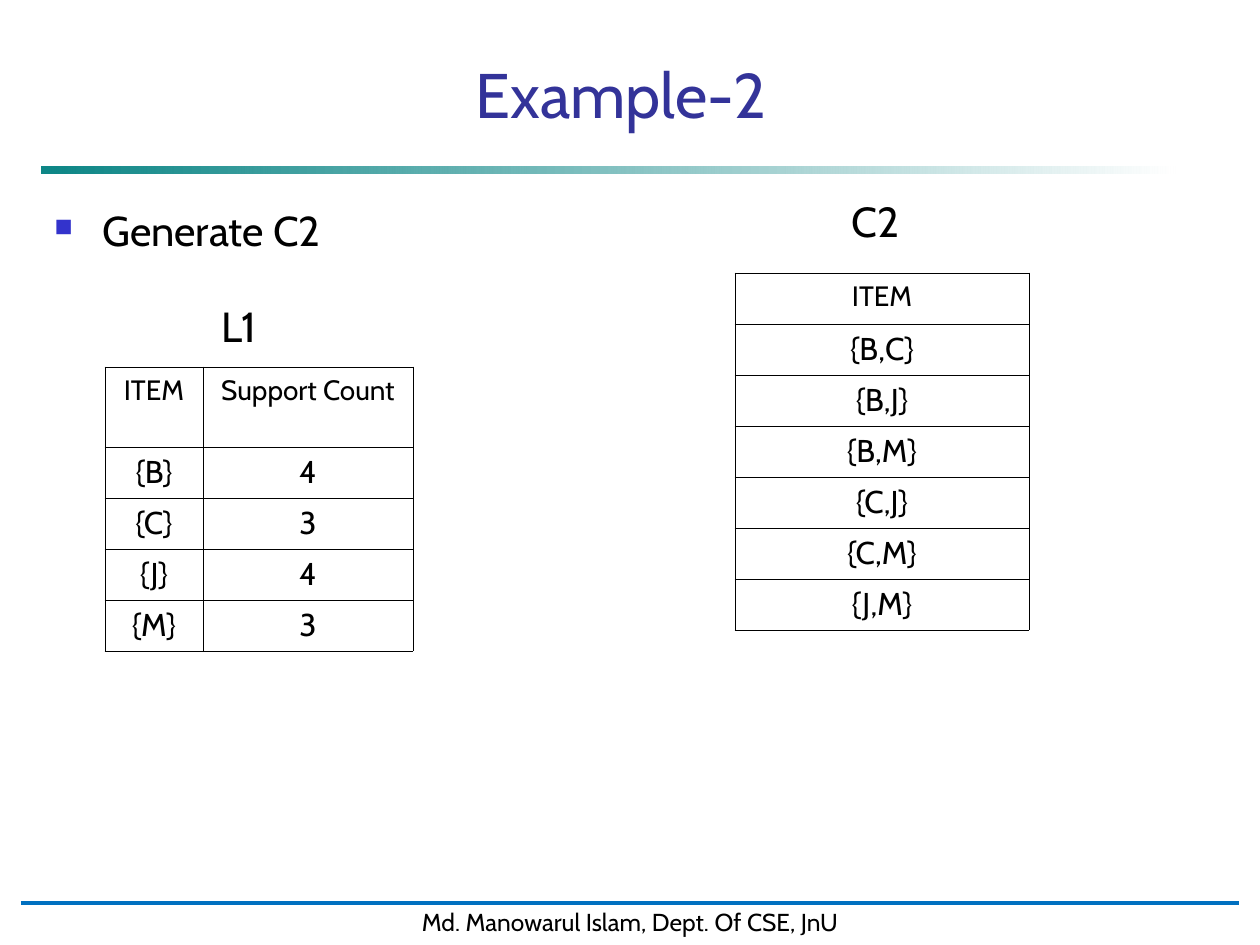
from lxml import etree
from pptx import Presentation, util as u
from pptx.dml.color import RGBColor
from pptx.enum import shapes, text
from pptx.oxml import ns

# Content; places are left, top, width, height in px
FONT = "Cabin"
COLORS = {"black": "000000", "white": "FFFFFF", "teal": "008080",
          "title": "333399", "bullet": "3333CC", "footer line": "0070C0"}
TITLE = ("Example-2", (84, 53, 1074, 84))
TASK = ("Generate C2", (42, 199, 1155, 63))
FOOTER = ("Md. Manowarul Islam, Dept. Of CSE, JnU", (21, 901, 1218, 42))
LABELS = [("C2", (839, 189, 76, 63)), ("L1", (209, 294, 71, 63))]
TABLES = [
    {"at": (105, 367), "columns": [98, 210], "header": 80,
     "rows": [("ITEM", "Support Count"),
              ("{B}", "4"), ("{C}", "3"), ("{J}", "4"), ("{M}", "3")]},
    {"at": (735, 273), "columns": [294], "header": 51,
     "rows": [("ITEM",), ("{B,C}",), ("{B,J}",), ("{B,M}",),
              ("{C,J}",), ("{C,M}",), ("{J,M}",)]},
]
ROW_HEIGHT = 51
SCALE = 914400 / 126


def px(length):
    return u.Emu(round(length * SCALE))


def place(box):
    return [px(length) for length in box]


def color(name):
    return RGBColor.from_string(COLORS[name])


def add_xml(parent, tag, **attributes):
    return etree.SubElement(parent, ns.qn(tag), attributes)


def write(frame, words, size, ink="black", align=text.PP_ALIGN.CENTER):
    para = frame.paragraphs[0]
    para.text = words
    para.alignment = align
    para.font.name = FONT
    para.font.size = u.Pt(size)
    para.font.color.rgb = color(ink)


def add_text(page, words, box, size, ink="black",
             align=text.PP_ALIGN.LEFT, wrap=True):
    frame = page.shapes.add_textbox(*place(box)).text_frame
    frame.word_wrap = wrap
    write(frame, words, size, ink, align)
    return frame


def add_rectangle(page, box):
    shape = page.shapes.add_shape(shapes.MSO_SHAPE.RECTANGLE, *place(box))
    shape.shadow.inherit = False
    return shape


def add_border(cell):
    properties = cell._tc.get_or_add_tcPr()
    for position, side in enumerate(("a:lnL", "a:lnR", "a:lnT", "a:lnB")):
        line = etree.Element(ns.qn(side), {"w": str(u.Pt(0.45))})
        fill = add_xml(line, "a:solidFill")
        add_xml(fill, "a:srgbClr", val=COLORS["black"])
        properties.insert(position, line)


def add_table(page, at, columns, header, rows):
    heights = [header] + [ROW_HEIGHT] * (len(rows) - 1)
    table = page.shapes.add_table(
        len(rows), len(columns), *place((*at, sum(columns), sum(heights)))).table
    for column, width in zip(table.columns, columns):
        column.width = px(width)
    for index, (row, height) in enumerate(zip(table.rows, heights)):
        row.height = px(height)
        for cell, words in zip(row.cells, rows[index]):
            write(cell.text_frame, words, 18 if index else 16)
            cell.fill.background()
            add_border(cell)


deck = Presentation()
deck.slide_width, deck.slide_height = u.Inches(10), u.Inches(7.5)
page = deck.slides.add_slide(deck.slide_layouts[6])

# Fading rule under the title
rule = add_rectangle(page, (42, 167, 1134, 7))
rule.line.fill.background()
rule.fill.gradient()
rule.fill.gradient_angle = 0
for stop, name, position in zip(rule.fill.gradient_stops, ("teal", "white"), (0, 1)):
    stop.color.rgb = color(name)
    stop.position = position
start = rule._element.spPr.find(".//" + ns.qn("a:srgbClr"))
add_xml(start, "a:alpha", val="95000")

# Footer
footer = add_rectangle(page, FOOTER[1])
footer.fill.solid()
footer.fill.fore_color.rgb = color("white")
footer.line.color.rgb = color("white")
footer.line.width = u.Pt(2)
footer.text_frame.word_wrap = False
footer.text_frame.vertical_anchor = text.MSO_ANCHOR.TOP
write(footer.text_frame, FOOTER[0], 14)
line = page.shapes.add_connector(
    shapes.MSO_CONNECTOR.STRAIGHT, *place((21, 903, 1239, 903)))
line.line.color.rgb = color("footer line")
line.line.width = u.Pt(1.75)
add_xml(line._element.spPr, "a:effectLst")

# Title
title = add_text(page, *TITLE, 36, "title", text.PP_ALIGN.CENTER)
title.vertical_anchor = text.MSO_ANCHOR.BOTTOM

# Bulleted task
task = add_text(page, *TASK, 23.8)
bullet = task.paragraphs[0]._p.get_or_add_pPr()
bullet.set("marL", str(px(48)))
bullet.set("indent", str(px(-48)))
children = list(bullet)
tint = etree.Element(ns.qn("a:buClr"))
add_xml(tint, "a:srgbClr", val=COLORS["bullet"])
size = etree.Element(ns.qn("a:buSzPct"), {"val": "60000"})
mark = etree.Element(ns.qn("a:buChar"), {"char": "■"})
for position, element in enumerate((tint, size, mark)):
    bullet.insert(position, element)

# Tables and their labels
for table in TABLES:
    add_table(page, **table)
for words, box in LABELS:
    add_text(page, words, box, 24, wrap=False)

deck.save("out.pptx")
